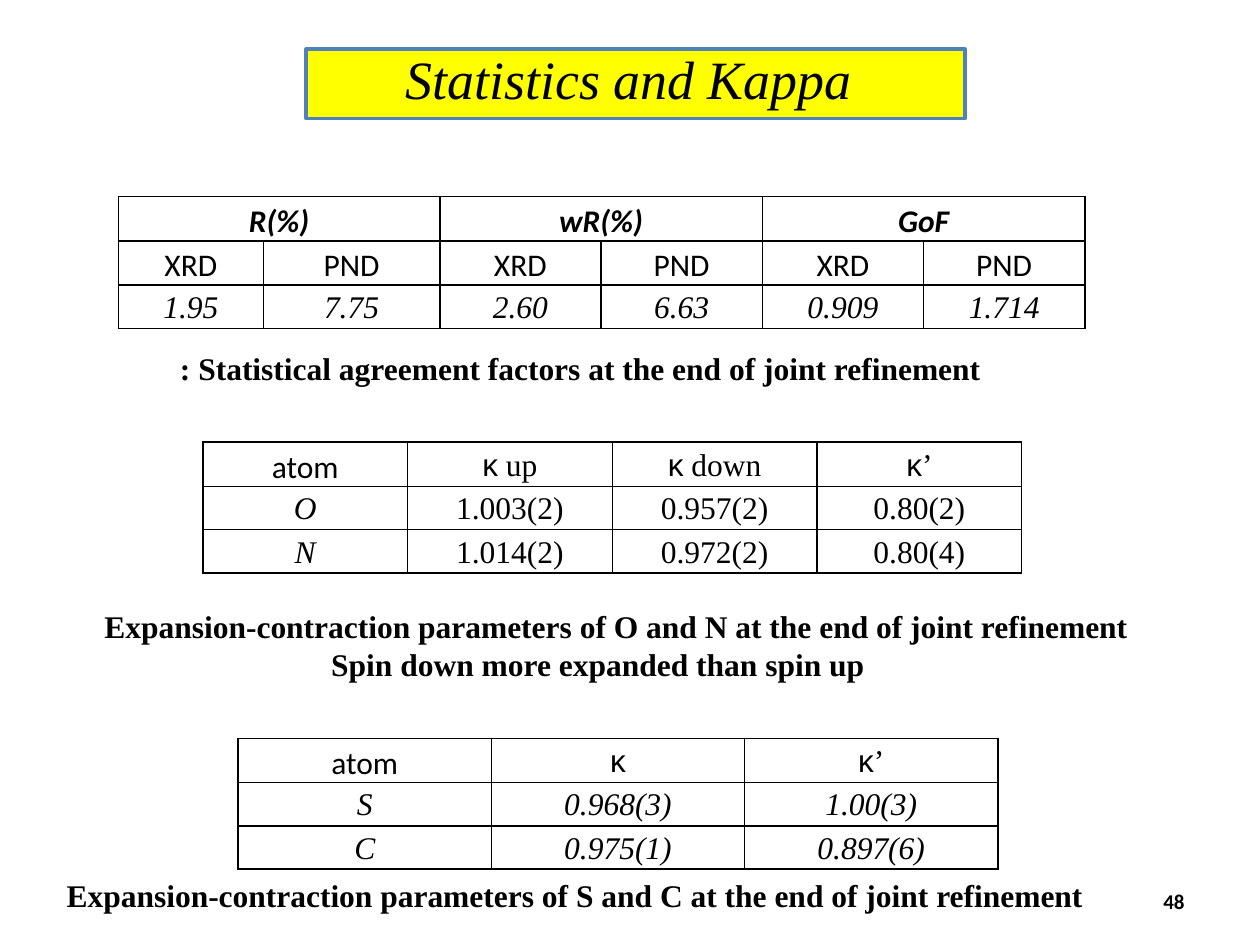
from lxml import etree
from pptx import Presentation
from pptx.dml.color import RGBColor
from pptx.enum.shapes import MSO_SHAPE as Shape
from pptx.enum.text import MSO_ANCHOR as Anchor, PP_ALIGN as Align
from pptx.oxml.ns import qn
from pptx.util import Inches, Pt

BLACK = RGBColor(0, 0, 0)
YELLOW = RGBColor(0xFF, 0xFF, 0x00)
BLUE = RGBColor(0x4F, 0x81, 0xBD)
SERIF, SANS, GREEK = "Times New Roman", "Calibri", "Arial"
ROW_HEIGHT = 1.03 / 3

# Content: each table has a place, column widths, rows and its italic columns
TABLES = [
    dict(at=(0.94, 1.56), columns=[1.15, 1.4] + [1.28] * 4, italic=range(6), rows=[
        ["R(%)", None, "wR(%)", None, "GoF", None],
        ["XRD", "PND"] * 3,
        ["1.95", "7.75", "2.60", "6.63", "0.909", "1.714"]]),
    dict(at=(1.61, 3.51), columns=[1.625] * 4, italic=[0], rows=[
        ["atom", "κ up", "κ down", "κ’"],
        ["O", "1.003(2)", "0.957(2)", "0.80(2)"],
        ["N", "1.014(2)", "0.972(2)", "0.80(4)"]]),
    dict(at=(1.89, 5.86), columns=[2.01] * 3, italic=range(3), rows=[
        ["atom", "κ", "κ’"],
        ["S", "0.968(3)", "1.00(3)"],
        ["C", "0.975(1)", "0.897(6)"]]),
]
# Captions: place and size, then lines with their left indent
CAPTIONS = [
    ((1.33, 2.72, 6.62, 0.4),
     [(": Statistical agreement factors at the end of joint refinement", 0)]),
    ((0.73, 4.77, 8.41, 0.71),
     [("Expansion-contraction parameters of O and N at the end of joint refinement", 0),
      ("Spin down more expanded than spin up", 1.8)]),
    ((0.43, 6.9, 8.35, 0.4),
     [("Expansion-contraction parameters of S and C at the end of joint refinement", 0)]),
]
PLAIN_HEADS = ("atom", "XRD", "PND")


def add_text(para, text, font=SERIF, size=18, bold=False, italic=False,
             align=Align.LEFT, spacing=None):
    para.alignment = align
    if spacing:
        para.line_spacing = spacing
    span = para.add_run()
    span.text = text
    span.font.name, span.font.size = font, Pt(size)
    span.font.bold, span.font.italic = bold, italic
    span.font.color.rgb = BLACK


def add_borders(cell):
    props = cell._tc.get_or_add_tcPr()
    for place, side in enumerate(("lnL", "lnR", "lnT", "lnB")):
        line = etree.Element(qn(f"a:{side}"), w=str(Pt(1)))
        fill = etree.SubElement(line, qn("a:solidFill"))
        etree.SubElement(fill, qn("a:srgbClr"), val=str(BLACK))
        props.insert(place, line)


def fill_cell(cell, text, italic):
    para = cell.text_frame.paragraphs[0]
    layout = dict(align=Align.CENTER, spacing=1.15)
    if text.startswith("κ"):
        add_text(para, "κ", font=GREEK, **layout)
        if text[1:]:
            add_text(para, text[1:], **layout)
    elif text in PLAIN_HEADS:
        add_text(para, text, font=SANS, **layout)
    else:
        group_head = cell.is_merge_origin
        add_text(para, text, font=SANS if group_head else SERIF,
                 bold=group_head, italic=italic, **layout)


def add_grid(page, at, columns, rows, italic):
    left, top = map(Inches, at)
    table = page.shapes.add_table(
        len(rows), len(columns), left, top, Inches(sum(columns)),
        Inches(ROW_HEIGHT * len(rows))).table
    table.first_row = table.horz_banding = False
    for column, width in zip(table.columns, columns):
        column.width = Inches(width)
    for r, row in enumerate(rows):
        for c, text in enumerate(row):
            cell = table.cell(r, c)
            cell.fill.background()
            add_borders(cell)
            cell.margin_left = cell.margin_right = Inches(0.07)
            cell.margin_top = cell.margin_bottom = 0
            if text is None:
                continue
            if c + 1 < len(row) and row[c + 1] is None:
                cell.merge(table.cell(r, c + 1))
            fill_cell(cell, text, c in italic)


def main():
    deck = Presentation()
    deck.slide_width, deck.slide_height = Inches(10), Inches(7.5)
    page = deck.slides.add_slide(deck.slide_layouts[6])

    # Title banner
    banner = page.shapes.add_shape(
        Shape.RECTANGLE, *map(Inches, (2.43, 0.39, 5.23, 0.55)))
    banner.shadow.inherit = False
    banner.fill.solid()
    banner.fill.fore_color.rgb = YELLOW
    banner.line.color.rgb, banner.line.width = BLUE, Pt(2)
    banner.text_frame.vertical_anchor = Anchor.MIDDLE
    add_text(banner.text_frame.paragraphs[0], "Statistics and Kappa ", size=30.8,
             italic=True, align=Align.CENTER, spacing=0.8)

    # Tables
    for table in TABLES:
        add_grid(page, **table)

    # Captions
    for place, lines in CAPTIONS:
        frame = page.shapes.add_textbox(*map(Inches, place)).text_frame
        frame.word_wrap = False
        for number, (text, indent) in enumerate(lines):
            para = frame.add_paragraph() if number else frame.paragraphs[0]
            if indent:
                para._p.get_or_add_pPr().set("marL", str(Inches(indent)))
            add_text(para, text, bold=True)

    # Page number
    frame = page.shapes.add_textbox(*map(Inches, (7.17, 6.95, 2.33, 0.4))).text_frame
    frame.word_wrap = True
    frame.vertical_anchor = Anchor.MIDDLE
    add_text(frame.paragraphs[0], "48", font=SANS, size=12, bold=True,
             align=Align.RIGHT)

    deck.save("out.pptx")


if __name__ == "__main__":
    main()
